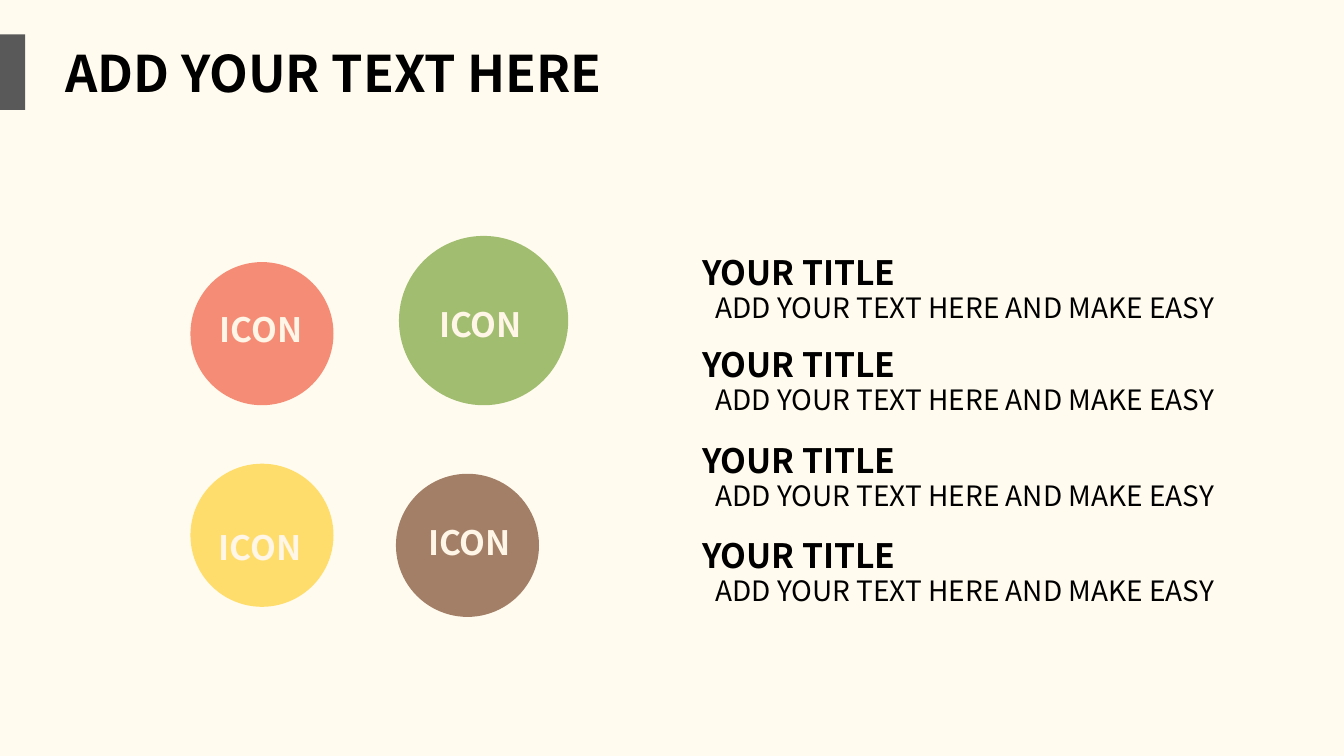
import pptx
import pptx.dml.color
import pptx.enum.shapes
import pptx.enum.text
import pptx.util

PX = 9144
FONT = "Noto Sans CJK SC"
COLORS = {
    "background": "FFFBEF",
    "coral": "F58D76",
    "green": "A1BD70",
    "yellow": "FFDD6C",
    "brown": "A37F67",
    "accent": "595959",
    "text": "000000",
    "icon": "FFF6E7",
}
CIRCLES = [
    ("coral", 189, 260, 142, 208, 301),
    ("green", 396, 234, 168, 426, 297),
    ("yellow", 189, 460, 142, 207, 518),
    ("brown", 393, 470, 142, 415, 513),
]
ITEM_TOPS = [245, 336, 431, 526]


def px(length):
    return pptx.util.Emu(length * PX)


def color(name):
    return pptx.dml.color.RGBColor.from_string(COLORS[name])


def add_solid(slide, kind, left, top, width, height, fill):
    solid = slide.shapes.add_shape(kind, px(left), px(top), px(width), px(height))
    solid.shadow.inherit = False
    solid.fill.solid()
    solid.fill.fore_color.rgb = color(fill)
    solid.line.fill.background()


def write_line(frame, text, size, fill, bold):
    frame.word_wrap = False
    frame.auto_size = pptx.enum.text.MSO_AUTO_SIZE.SHAPE_TO_FIT_TEXT
    frame.vertical_anchor = pptx.enum.text.MSO_ANCHOR.MIDDLE
    paragraph = frame.paragraphs[0]
    paragraph.alignment = pptx.enum.text.PP_ALIGN.LEFT
    run = paragraph.add_run()
    run.text = text
    run.font.name = FONT
    run.font.size = pptx.util.Pt(size)
    run.font.bold = bold
    run.font.color.rgb = color(fill)


def add_label(slide, text, left, top, width, height, size, fill="text", bold=False):
    label = slide.shapes.add_textbox(px(left), px(top), px(width), px(height))
    write_line(label.text_frame, text, size, fill, bold)


def set_title(slide, text):
    title = slide.shapes.title
    title.left, title.top, title.width, title.height = map(px, (55, 37, 556, 70))
    write_line(title.text_frame, text, 36, "text", True)


def add_item(slide, top):
    add_label(slide, "ADD YOUR TEXT HERE AND MAKE EASY", 700, top + 38, 528, 44, 20)
    add_label(slide, "YOUR TITLE", 687, top, 212, 50, 24, bold=True)


def main():
    deck = pptx.Presentation()
    deck.slide_width, deck.slide_height = px(1334), px(750)
    slide = deck.slides.add_slide(deck.slide_layouts[5])
    slide.background.fill.solid()
    slide.background.fill.fore_color.rgb = color("background")

    shapes = pptx.enum.shapes.MSO_SHAPE
    add_solid(slide, shapes.RECTANGLE, 0, 34, 25, 75, "accent")
    set_title(slide, "ADD YOUR TEXT HERE")
    for fill, left, top, diameter, icon_left, icon_top in CIRCLES:
        add_solid(slide, shapes.OVAL, left, top, diameter, diameter, fill)
        add_label(slide, "ICON", icon_left, icon_top, 108, 50, 24, "icon", True)
    for top in ITEM_TOPS:
        add_item(slide, top)
    deck.save("out.pptx")


if __name__ == "__main__":
    main()
